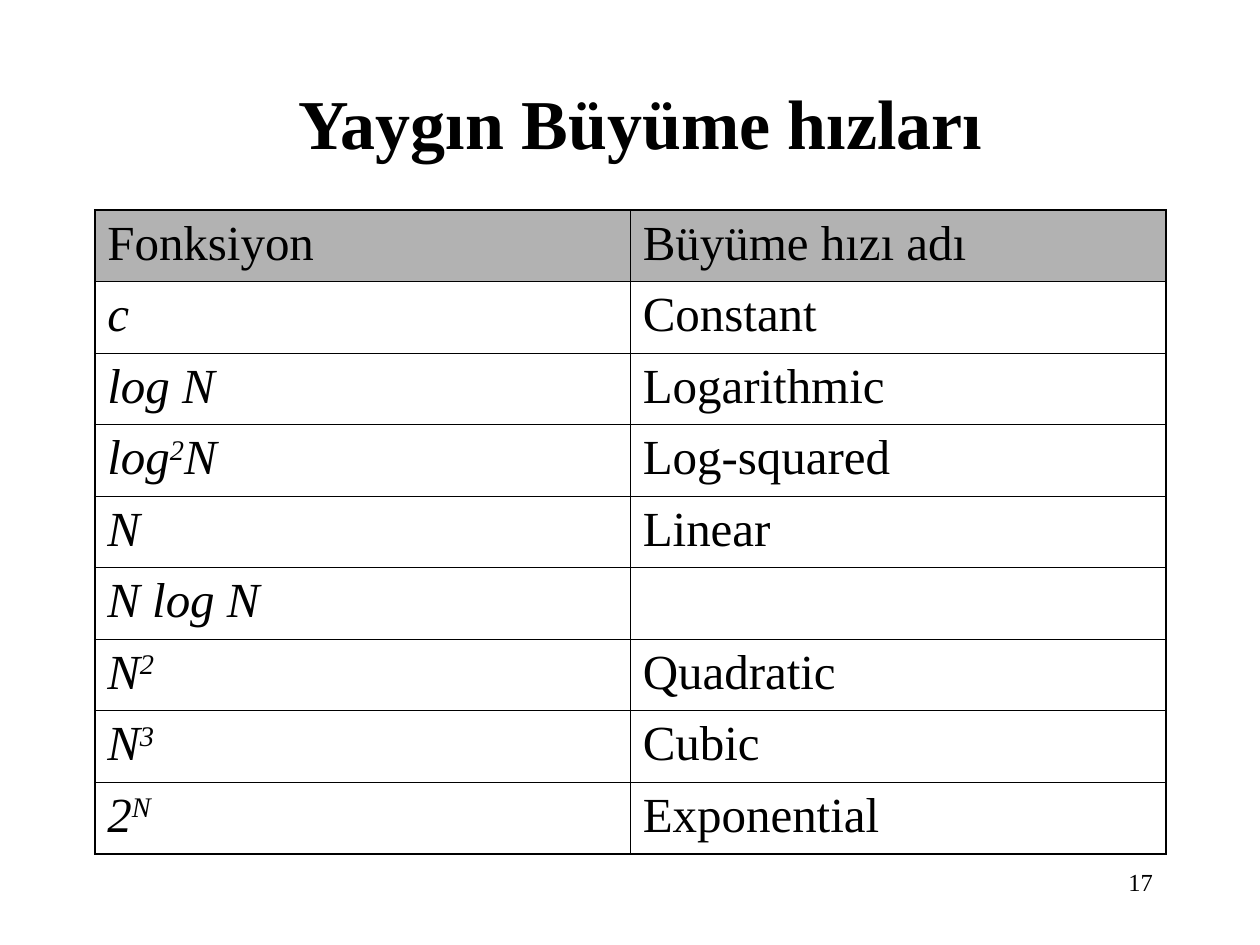
"""Build a slide with a table of common growth rates."""
from dataclasses import dataclass

from lxml import etree
from pptx import Presentation
from pptx.dml.color import RGBColor
from pptx.enum import text
from pptx.oxml import ns
from pptx.util import Cm, Pt


@dataclass(frozen=True)
class Theme:
    font: str = "Times New Roman"
    ink: str = "000000"
    header: str = "B2B2B2"
    paper: str = "FFFFFF"
    title_size: int = 40
    table_size: int = 28
    number_size: int = 14
    outer_line: float = 1.08
    inner_line: float = 0.45


@dataclass(frozen=True)
class Growth:
    base: str
    power: str = ""
    rest: str = ""
    name: str = ""


THEME = Theme()
HEADINGS = ("Fonksiyon", "Büyüme hızı adı")
GROWTHS = (
    Growth("c", name="Constant"),
    Growth("log N", name="Logarithmic"),
    Growth("log", "2", "N", "Log-squared"),
    Growth("N", name="Linear"),
    Growth("N log N"),
    Growth("N", "2", name="Quadratic"),
    Growth("N", "3", name="Cubic"),
    Growth("2", "N", name="Exponential"),
)


def style(para, size: int, bold: bool = False, italic: bool = False) -> None:
    """Set the font of a whole paragraph."""
    font = para.font
    font.name, font.size = THEME.font, Pt(size)
    font.bold, font.italic = bold, italic
    font.color.rgb = RGBColor.from_string(THEME.ink)


def set_borders(cell, widths: dict[str, float]) -> None:
    """Draw the four sides of a cell, ahead of its fill."""
    properties = cell._tc.get_or_add_tcPr()
    for index, (side, width) in enumerate(widths.items()):
        line = etree.Element(ns.qn(f"a:ln{side}"), w=str(int(Pt(width))))
        fill = etree.SubElement(line, ns.qn("a:solidFill"))
        etree.SubElement(fill, ns.qn("a:srgbClr"), val=THEME.ink)
        properties.insert(index, line)


def write_cell(cell, growth: Growth, italic: bool) -> None:
    """Write a cell with an optional raised part."""
    para = cell.text_frame.paragraphs[0]
    style(para, THEME.table_size, italic=italic)
    for part, raised in ((growth.base, False), (growth.power, True), (growth.rest, False)):
        if part:
            span = para.add_run()
            span.text = part
            if raised:
                span._r.get_or_add_rPr().set("baseline", "30000")


def add_growth_table(page) -> None:
    """Add the table of functions and growth names."""
    rows = [tuple(Growth(heading) for heading in HEADINGS)]
    rows += [(growth, Growth(growth.name)) for growth in GROWTHS]
    last_row, last_column = len(rows) - 1, len(HEADINGS) - 1
    table = page.shapes.add_table(
        len(rows), len(HEADINGS), Cm(1.91), Cm(4.24), Cm(21.59), Cm(12.96)
    ).table
    table.first_row = table.horz_banding = False
    for row_index, row in enumerate(rows):
        for column_index, growth in enumerate(row):
            cell = table.cell(row_index, column_index)
            write_cell(cell, growth, italic=row_index > 0 and column_index == 0)
            cell.fill.solid()
            colour = THEME.paper if row_index else THEME.header
            cell.fill.fore_color.rgb = RGBColor.from_string(colour)
            outer_sides = {
                "L": column_index == 0,
                "R": column_index == last_column,
                "T": row_index == 0,
                "B": row_index == last_row,
            }
            set_borders(cell, {
                side: THEME.outer_line if outer else THEME.inner_line
                for side, outer in outer_sides.items()
            })


def add_title(page) -> None:
    """Place and format the title."""
    title = page.shapes.title
    title.left, title.top = Cm(2.11), Cm(1.27)
    title.width, title.height = Cm(21.59), Cm(2.34)
    frame = title.text_frame
    frame.text = "Yaygın Büyüme hızları"
    frame.vertical_anchor = text.MSO_ANCHOR.MIDDLE
    para = frame.paragraphs[0]
    para.alignment = text.PP_ALIGN.CENTER
    style(para, THEME.title_size, bold=True)


def add_page_number(page) -> None:
    """Add the page number at the lower right."""
    box = page.shapes.add_textbox(Cm(18.21), Cm(17.35), Cm(5.28), Cm(1.27))
    box.text_frame.word_wrap = True
    para = box.text_frame.paragraphs[0]
    para.text = "17"
    para.alignment = text.PP_ALIGN.RIGHT
    style(para, THEME.number_size)


def main() -> None:
    """Build and save the deck."""
    deck = Presentation()
    deck.slide_width, deck.slide_height = Cm(25.4), Cm(19.05)
    page = deck.slides.add_slide(deck.slide_layouts[5])
    add_page_number(page)
    add_title(page)
    add_growth_table(page)
    deck.save("out.pptx")


if __name__ == "__main__":
    main()
